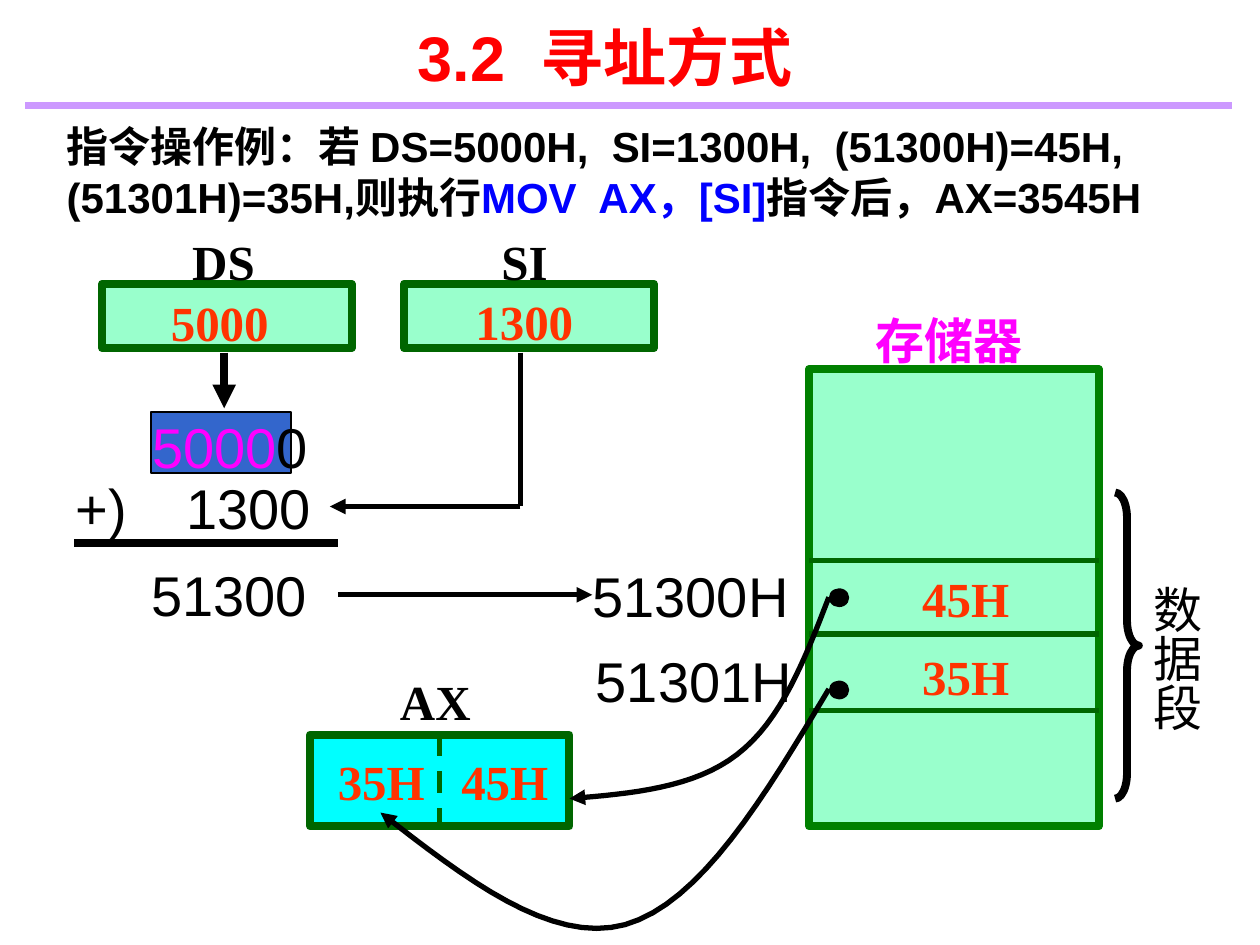
"""Build the slide on register indirect addressing: title, example and memory diagram."""
from pptx import Presentation
from pptx.dml.color import RGBColor
from pptx.enum.dml import MSO_LINE
from pptx.enum.shapes import MSO_CONNECTOR, MSO_SHAPE
from pptx.enum.text import MSO_ANCHOR, MSO_AUTO_SIZE, PP_ALIGN
from pptx.oxml.ns import qn
from pptx.oxml.xmlchemy import OxmlElement
from pptx.util import Cm, Pt

SERIF, SANS = "Times New Roman", "Arial"
BLACK, RED, BLUE, MAGENTA, ORANGE = "000000", "FF0000", "0000FF", "FF00FF", "FF3300"
MINT, GREEN, DARK_GREEN = "99FFCC", "008000", "006600"
CURVE_STEPS = 16

TITLE_PLACE = (2.9, 0.53, 18.59, 1.19)
TITLE = [("3.2  ", SANS, RED), ("寻址方式", SERIF, RED)]
EXAMPLE_PLACE = (1.09, 2.31, 23.72, 2.31)
EXAMPLE = [
    ("指令操作例：若 ", SERIF, BLACK),
    ("DS=5000H,  SI=1300H,  (51300H)=45H,  (51301H)=35H,", SANS, BLACK),
    ("则执行", SERIF, BLACK),
    ("MOV  AX", SANS, BLUE),
    ("，", SERIF, BLUE),
    ("[SI]", SANS, BLUE),
    ("指令后，", SERIF, BLACK),
    ("AX=3545H", SANS, BLACK),
]

MEMORY = (16.31, 7.44, 5.84, 9.22)
MEMORY_ROWS = (11.3, 12.78, 14.33)
ACCUMULATOR = (6.25, 14.81, 5.23, 1.85)
BOXES = [
    (MEMORY, MINT, GREEN, 4.5),
    ((2.06, 5.72, 5.03, 1.3), MINT, DARK_GREEN, 4.5),
    ((8.15, 5.72, 5.03, 1.3), MINT, DARK_GREEN, 4.5),
    ((3.05, 8.31, 2.82, 1.22), "3366CC", BLACK, 1),
]

PLAIN = {"size": Pt(32), "bold": False}
BOLD = {"size": Pt(28), "bold": True}
LEFT, CENTER, RIGHT = PP_ALIGN.LEFT, PP_ALIGN.CENTER, PP_ALIGN.RIGHT
LABELS = [
    ((3.4, 4.67, 2.21, 1.19), CENTER, BOLD, [("DS", SERIF, BLACK)]),
    ((9.47, 4.67, 2.21, 1.19), CENTER, BOLD, [("SI", SERIF, BLACK)]),
    ((7.67, 13.54, 2.21, 1.19), CENTER, BOLD, [("AX", SERIF, BLACK)]),
    ((3.4, 5.89, 2.06, 1.19), CENTER, BOLD, [("5000", SERIF, ORANGE)]),
    ((9.53, 5.87, 2.08, 1.19), CENTER, BOLD, [("1300", SERIF, ORANGE)]),
    ((17.65, 6.25, 3.23, 1.19), LEFT, BOLD, [("存储器", SERIF, MAGENTA)]),
    ((18.59, 11.46, 1.8, 1.19), LEFT, BOLD, [("45H", SERIF, ORANGE)]),
    ((18.59, 13.03, 1.8, 1.19), LEFT, BOLD, [("35H", SERIF, ORANGE)]),
    ((6.81, 15.14, 1.8, 1.19), LEFT, BOLD, [("35H", SERIF, ORANGE)]),
    ((9.3, 15.14, 1.8, 1.19), LEFT, BOLD, [("45H", SERIF, ORANGE)]),
    ((3.07, 8.31, 3.48, 1.37), LEFT, PLAIN, [("5000", SANS, MAGENTA), ("0", SANS, BLACK)]),
    ((1.52, 9.55, 1.12, 1.35), LEFT, PLAIN, [("+)", SANS, BLACK)]),
    ((3.76, 9.55, 2.74, 1.35), LEFT, PLAIN, [("1300", SANS, BLACK)]),
    ((3.05, 11.3, 3.51, 1.35), LEFT, PLAIN, [("51300", SANS, BLACK)]),
    ((11.28, 11.33, 4.62, 1.35), RIGHT, PLAIN, [("51300H", SANS, BLACK)]),
    ((11.35, 13.03, 4.62, 1.35), RIGHT, PLAIN, [("51301H", SANS, BLACK)]),
]
SEGMENT_PLACE = (23.11, 11.81, 1.19, 3.12)
SEGMENT = [("数据段", SERIF, BLACK)]
BRACE_PLACE = (22.48, 9.93, 0.48, 6.17)

LINES = [
    ((0.51, 2.13, 24.84, 2.13), "CC99FF", 4.25, False),
    ((1.5, 10.95, 6.81, 10.95), BLACK, 4.5, False),
    ((4.52, 7.11, 4.52, 8.23), BLACK, 4.5, True),
    ((10.49, 7.11, 10.49, 10.21), BLACK, 3, False),
    ((10.49, 10.21, 6.65, 10.21), BLACK, 3, True),
    ((6.81, 11.99, 11.94, 11.99), BLACK, 3, True),
]
CURVES = [
    [(16.71, 13.89), (15.42, 16.05), (14.12, 18.21), (12.6, 18.64),
     (11.1, 19.05), (9.37, 17.7), (7.67, 16.38)],
    [(16.71, 12.04), (16.23, 13.28), (15.75, 14.53), (14.86, 15.21),
     (14, 15.88), (12.75, 16), (11.48, 16.1)],
]
DOTS = [(16.71, 13.72, 0.41, 0.38), (16.71, 11.86, 0.41, 0.38)]


def color(hex_text):
    return RGBColor.from_string(hex_text)


def lengths(values):
    return [Cm(value) for value in values]


def set_attributes(target, values):
    for name, value in values.items():
        setattr(target, name, value)


def write(paragraph, pieces, font_format):
    for text, font_name, hex_text in pieces:
        run = paragraph.add_run()
        run.text = text
        set_attributes(run.font, {**font_format, "name": font_name})
        run.font.color.rgb = color(hex_text)


def draw_line(shape, hex_text, width, arrow=False):
    shape.line.color.rgb = color(hex_text)
    shape.line.width = Pt(width)
    if arrow:
        tail = OxmlElement("a:tailEnd")
        tail.set("type", "triangle")
        shape._element.spPr.find(qn("a:ln")).append(tail)


def add_shape(slide, kind, place, fill=None):
    shape = slide.shapes.add_shape(kind, *lengths(place))
    shape.shadow.inherit = False
    if fill:
        shape.fill.solid()
        shape.fill.fore_color.rgb = color(fill)
    else:
        shape.fill.background()
    return shape


def add_line(slide, ends, hex_text, width, arrow=False):
    connector = slide.shapes.add_connector(MSO_CONNECTOR.STRAIGHT, *lengths(ends))
    draw_line(connector, hex_text, width, arrow)
    connector._element.spPr.append(OxmlElement("a:effectLst"))
    return connector


def add_label(slide, place, alignment, font_format, pieces):
    frame = slide.shapes.add_textbox(*lengths(place)).text_frame
    set_attributes(frame, {"word_wrap": True, "margin_left": 0, "margin_right": 0,
                           "margin_top": 0, "margin_bottom": 0})
    frame.paragraphs[0].alignment = alignment
    write(frame.paragraphs[0], pieces, font_format)
    return frame


def fill_placeholder(shape, place, pieces, size, alignment, anchor):
    set_attributes(shape, dict(zip(("left", "top", "width", "height"), lengths(place))))
    set_attributes(shape.text_frame, {"word_wrap": True, "vertical_anchor": anchor,
                                      "auto_size": MSO_AUTO_SIZE.NONE})
    paragraph = shape.text_frame.paragraphs[0]
    set_attributes(paragraph, {"alignment": alignment, "space_before": Pt(0)})
    properties = paragraph._p.get_or_add_pPr()
    set_attributes(properties, {"marL": 0, "indent": 0})
    for name in ("marL", "indent"):
        properties.set(name, "0")
    properties.append(OxmlElement("a:buNone"))
    write(paragraph, pieces, {"size": Pt(size), "bold": True})


def bezier(points, step):
    t = step / CURVE_STEPS
    weights = ((1 - t) ** 3, 3 * t * (1 - t) ** 2, 3 * t * t * (1 - t), t ** 3)
    return tuple(Cm(sum(weight * point[axis] for weight, point in zip(weights, points)))
                 for axis in (0, 1))


def add_curve(slide, points):
    builder = slide.shapes.build_freeform(*lengths(points[0]))
    builder.add_line_segments(
        [bezier(points[start:start + 4], step)
         for start in range(0, len(points) - 1, 3) for step in range(1, CURVE_STEPS + 1)],
        close=False)
    curve = builder.convert_to_shape()
    curve.shadow.inherit = False
    curve.fill.background()
    draw_line(curve, BLACK, 3, True)


def main():
    presentation = Presentation()
    presentation.slide_width, presentation.slide_height = Cm(25.4), Cm(19.05)
    slide = presentation.slides.add_slide(presentation.slide_layouts[1])
    fill_placeholder(slide.shapes.title, TITLE_PLACE, TITLE, 36, CENTER, MSO_ANCHOR.MIDDLE)
    fill_placeholder(slide.placeholders[1], EXAMPLE_PLACE, EXAMPLE, 24, LEFT, MSO_ANCHOR.TOP)

    for place, fill, edge, width in BOXES:
        draw_line(add_shape(slide, MSO_SHAPE.RECTANGLE, place, fill), edge, width)
    left, _, width, _ = MEMORY
    for row in MEMORY_ROWS:
        add_line(slide, (left, row, left + width, row), DARK_GREEN, 3)

    accumulator = add_shape(slide, MSO_SHAPE.RECTANGLE, ACCUMULATOR, "00FFFF")
    draw_line(accumulator, DARK_GREEN, 4.5)
    left, top, width, height = ACCUMULATOR
    middle = left + width / 2
    divider = add_line(slide, (middle, top, middle, top + height), DARK_GREEN, 3)
    divider.line.dash_style = MSO_LINE.DASH
    divider.begin_connect(accumulator, 0)
    divider.end_connect(accumulator, 2)

    for line in LINES:
        add_line(slide, *line)
    for points in CURVES:
        add_curve(slide, points)
    for place in DOTS:
        add_shape(slide, MSO_SHAPE.OVAL, place, BLACK).line.fill.background()
    brace = add_shape(slide, MSO_SHAPE.RIGHT_BRACE, BRACE_PLACE)
    brace.adjustments[0] = 1.06
    draw_line(brace, BLACK, 4.5)

    for label in LABELS:
        add_label(slide, *label)
    segment = add_label(slide, SEGMENT_PLACE, LEFT, {"size": Pt(28), "bold": False}, SEGMENT)
    segment._txBody.bodyPr.set("vert", "eaVert")
    presentation.save("out.pptx")


if __name__ == "__main__":
    main()
